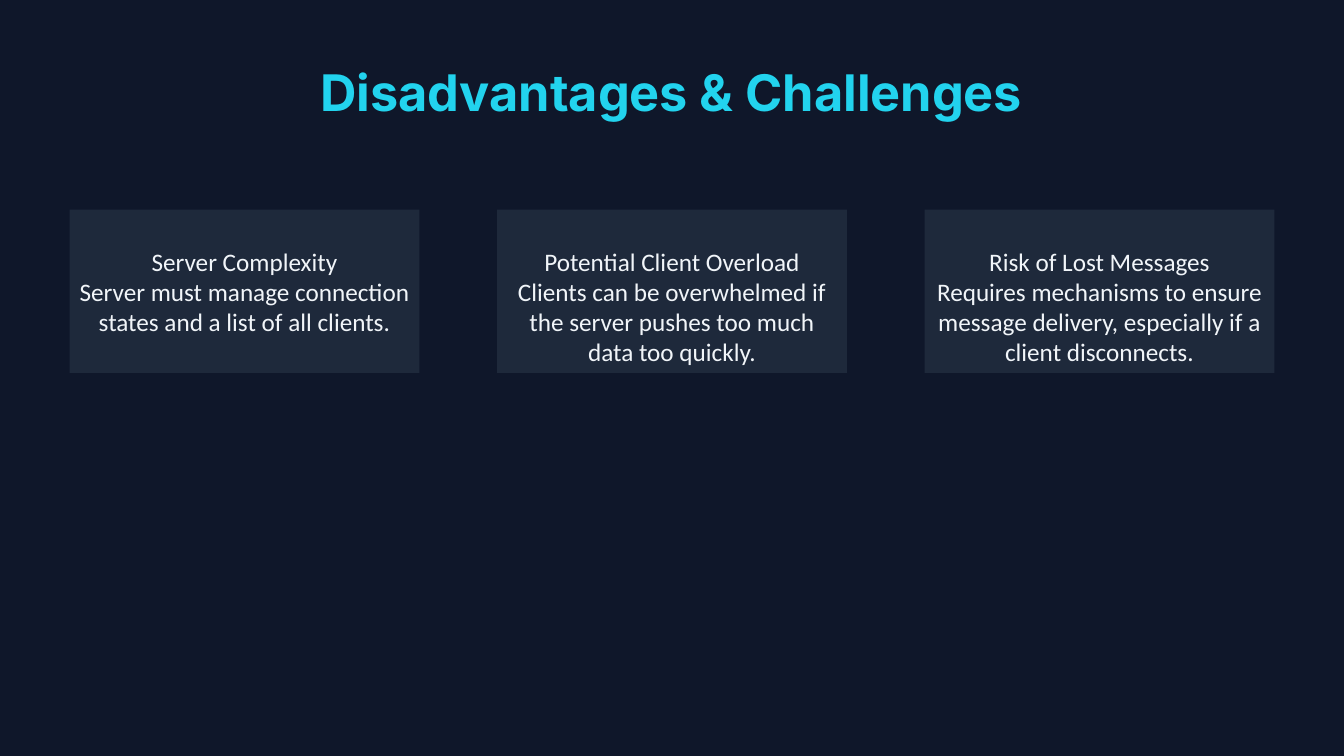
"""Build a slide with three cards on disadvantages and challenges."""
from pptx import Presentation
from pptx import util as u
from pptx.dml.color import RGBColor
from pptx.enum import shapes, text

NAVY = RGBColor(0x0F, 0x17, 0x2A)
SLATE = RGBColor(0x1E, 0x29, 0x3B)
CYAN = RGBColor(0x22, 0xD3, 0xEE)
PALE = RGBColor(0xF1, 0xF5, 0xF9)

LEFT = 0.69
CARD_STEP = 4.24
CARDS = [
    ("Server Complexity",
     "Server must manage connection states and a list of all clients."),
    ("Potential Client Overload",
     "Clients can be overwhelmed if the server pushes too much data too quickly."),
    ("Risk of Lost Messages",
     "Requires mechanisms to ensure message delivery, especially if a client disconnects."),
]

deck = Presentation()
deck.slide_width = u.Inches(13.33)
deck.slide_height = u.Inches(7.5)
page = deck.slides.add_slide(deck.slide_layouts[6])
page.background.fill.solid()
page.background.fill.fore_color.rgb = NAVY

title = page.shapes.add_textbox(
    u.Inches(LEFT), u.Inches(0.56), u.Inches(11.94), u.Inches(0.71))
title.text_frame.word_wrap = True
heading = title.text_frame.paragraphs[0]
heading.text = "Disadvantages & Challenges"
heading.alignment = text.PP_ALIGN.CENTER
heading.font.name = "Inter"
heading.font.size = u.Pt(36)
heading.font.bold = True
heading.font.color.rgb = CYAN

for column, lines in enumerate(CARDS):
    card = page.shapes.add_shape(
        shapes.MSO_SHAPE.RECTANGLE, u.Inches(LEFT + column * CARD_STEP),
        u.Inches(2.08), u.Inches(3.47), u.Inches(1.62))
    card.shadow.inherit = False
    card.fill.solid()
    card.fill.fore_color.rgb = SLATE
    card.line.fill.background()
    frame = card.text_frame
    frame.word_wrap = True
    frame.vertical_anchor = text.MSO_ANCHOR.TOP
    frame.margin_top = u.Inches(0.36)
    frame.text = "\n".join(lines)
    for para in frame.paragraphs:
        para.alignment = text.PP_ALIGN.CENTER
        para.font.name = "Calibri"
        para.font.size = u.Pt(18)
        para.font.color.rgb = PALE

deck.save("out.pptx")
